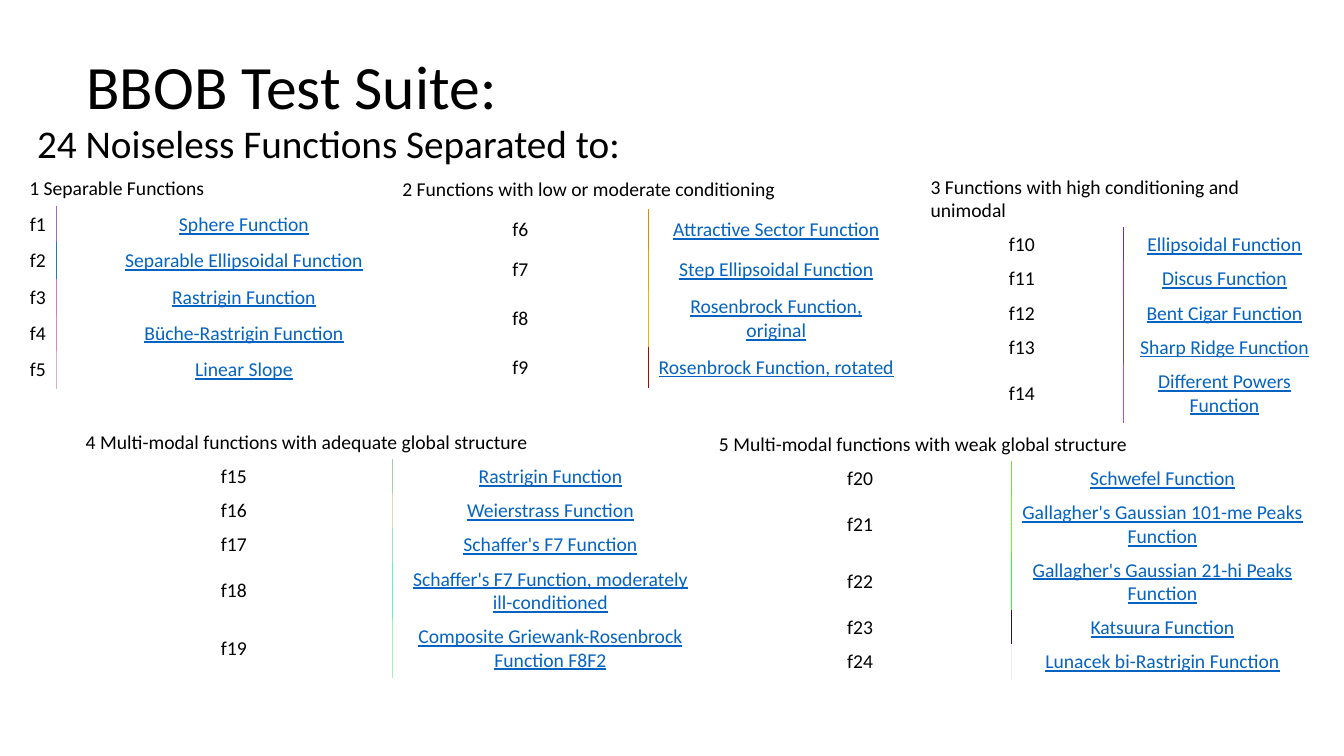
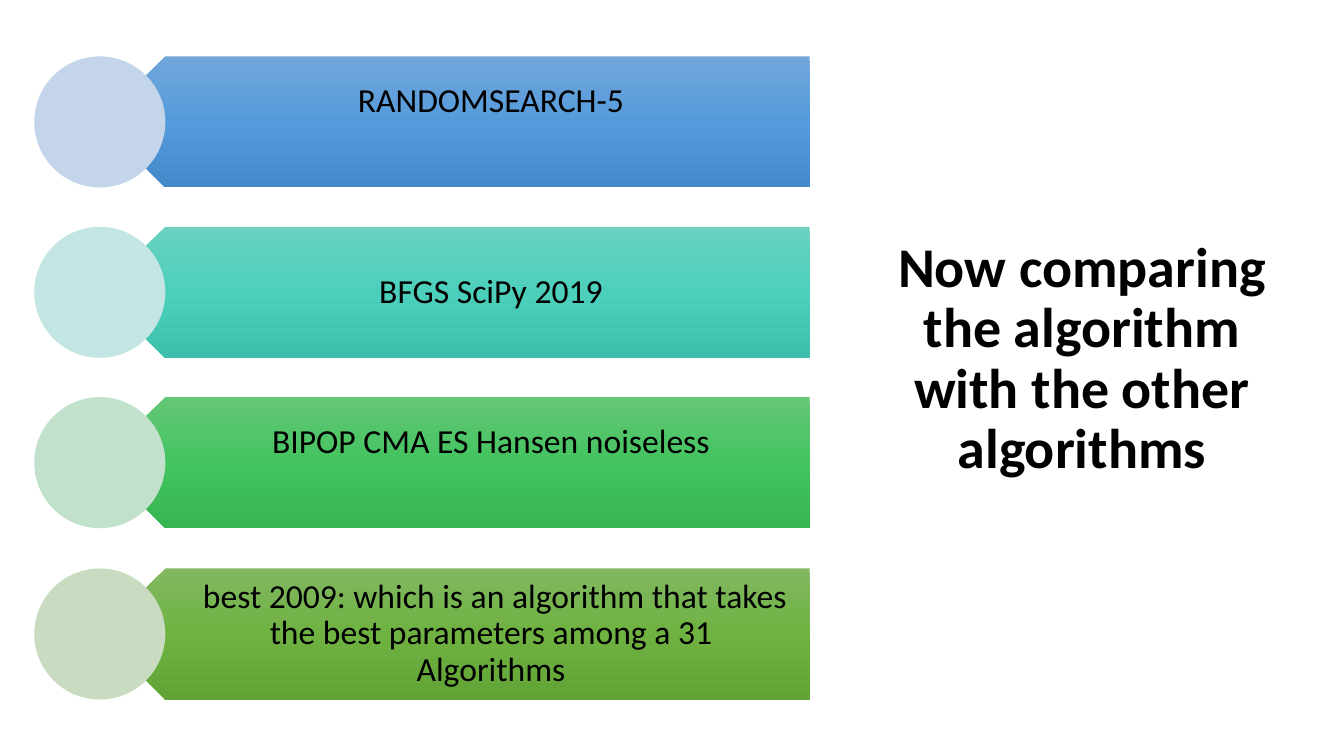
from lxml.etree import SubElement
from pptx import Presentation
from pptx.dml.color import RGBColor
from pptx.enum.shapes import MSO_SHAPE
from pptx.enum.text import MSO_ANCHOR, PP_ALIGN
from pptx.oxml import parse_xml
from pptx.oxml.ns import nsdecls, qn
from pptx.util import Pt

SCALE = 9144
FONT = "Calibri"
BLACK = "000000"
WHITE = "FFFFFF"
LINK = "0563C1"

GROUPS = [
    ((19, 169), (37, 372), [36] * 6, "1 Separable Functions", [
        ("Sphere Function", "A066C1"),
        ("Separable Ellipsoidal Function", "207AC1"),
        ("Rastrigin Function", "E072C1"),
        ("Büche-Rastrigin Function", "E085C1"),
        ("Linear Slope", "E0ADC1"),
    ]),
    ((389, 169), (254, 254), [39, 40, 40, 40, 40],
     "2 Functions with low or moderate conditioning", [
        ("Attractive Sector Function", "E08901"),
        ("Step Ellipsoidal Function", "E0A501"),
        ("Rosenbrock Function, original", "E0B801"),
        ("Rosenbrock Function, rotated", "A00C02"),
    ]),
    ((913, 169), (201, 201), [57, 34, 34, 34, 34, 57],
     "3 Functions with high conditioning and unimodal", [
        ("Ellipsoidal Function", "602CD9"),
        ("Discus Function", "A029D9"),
        ("Bent Cigar Function", "603DD9"),
        ("Sharp Ridge Function", "6042D9"),
        ("Different Powers Function", "A056D9"),
    ]),
    ((75, 422), (314, 314), [34, 34, 34, 34, 57, 57],
     "4 Multi-modal functions with adequate global structure", [
        ("Rastrigin Function", "A0CEB4"),
        ("Weierstrass Function", "E0DAB4"),
        ("Schaffer's F7 Function", "A0E3B4"),
        ("Schaffer's F7 Function, moderately ill-conditioned", "60F7B4"),
        ("Composite Griewank-Rosenbrock Function F8F2", "A0F3B4"),
    ]),
    ((703, 424), (300, 300), [34, 34, 57, 57, 34, 34],
     "5 Multi-modal functions with weak global structure", [
        ("Schwefel Function", "70E236"),
        ("Gallagher's Gaussian 101-me Peaks Function", "70F836"),
        ("Gallagher's Gaussian 21-hi Peaks Function", "30FF36"),
        ("Katsuura Function", "301037"),
        ("Lunacek bi-Rastrigin Function", "EEEBEE"),
    ]),
]

RIVALS = [
    ("RANDOMSEARCH-5", 40, "C4D5EB", ("71A6DB", "559BDB", "448ACA")),
    ("BFGS SciPy 2019", 0, "C3E6E5", ("6AD1C0", "4CD0BC", "3CC0AC")),
    ("BIPOP CMA ES Hansen noiseless", 40, "C1E1CC", ("64C677", "44C460", "36B552")),
    (" best 2009: which is an algorithm that takes the best parameters among a 31 Algorithms",
     0, "C9DBC1", ("81B861", "6FB242", "62A336")),
]


def px(count):
    return count * SCALE


def paint(text):
    return RGBColor.from_string(text)


def write(frame, text, size, color=BLACK, bold=False, line=False, align=PP_ALIGN.LEFT):
    para = frame.paragraphs[0]
    para.alignment = align
    run = para.add_run()
    run.text = text
    font = run.font
    font.name = FONT
    font.size = Pt(size)
    font.bold = bold
    font.underline = line
    font.color.rgb = paint(color)
    return para


def label(slide, box, text, size, pads=(10, 5, 10, 5), anchor=MSO_ANCHOR.MIDDLE, **style):
    frame = slide.shapes.add_textbox(*map(px, box)).text_frame
    frame.word_wrap = True
    frame.vertical_anchor = anchor
    (frame.margin_left, frame.margin_top,
     frame.margin_right, frame.margin_bottom) = map(px, pads)
    write(frame, text, size, **style).line_spacing = 0.9


def edge(cell, side, color):
    line = parse_xml(
        f'<a:{side} {nsdecls("a")} w="6350"><a:solidFill>'
        f'<a:srgbClr val="{color}"/></a:solidFill></a:{side}>')
    cell._tc.get_or_add_tcPr().insert(0, line)


def fill_cell(cell, text, **style):
    cell.fill.solid()
    cell.fill.fore_color.rgb = paint(WHITE)
    cell.vertical_anchor = MSO_ANCHOR.MIDDLE
    write(cell.text_frame, text, 14, **style)


def group(slide, spot, widths, heights, head, items, first):
    box = (*spot, sum(widths), sum(heights))
    table = slide.shapes.add_table(len(heights), 2, *map(px, box)).table
    table.first_row = table.horz_banding = False
    for col, width in zip(table.columns, widths):
        col.width = px(width)
    for row, height in zip(table.rows, heights):
        row.height = px(height)
    table.cell(0, 0).merge(table.cell(0, 1))
    fill_cell(table.cell(0, 0), head)
    for row, (name, color) in enumerate(items, 1):
        left, right = table.cell(row, 0), table.cell(row, 1)
        fill_cell(left, f"f{first + row - 1}", align=PP_ALIGN.CENTER)
        fill_cell(right, name, color=LINK, line=True, align=PP_ALIGN.CENTER)
        edge(left, "lnR", color)
        edge(right, "lnL", color)


def shade(shape, colors):
    shape.fill.gradient()
    grad = shape._element.spPr.find(qn("a:gradFill"))
    for child in list(grad):
        grad.remove(child)
    stops = SubElement(grad, qn("a:gsLst"))
    for place, color in zip((0, 50000, 100000), colors):
        stop = SubElement(stops, qn("a:gs"), pos=str(place))
        SubElement(stop, qn("a:srgbClr"), val=color)
    SubElement(grad, qn("a:lin"), ang="5400000", scaled="0")


def plain(slide, kind, box):
    shape = slide.shapes.add_shape(kind, *map(px, box))
    shape.shadow.inherit = False
    shape.line.fill.background()
    return shape


def rival(slide, box, text, lift, tint, colors):
    left, top, width, height = box
    half = height // 2
    arrow = plain(slide, MSO_SHAPE.PENTAGON, (left + half, top, width - half, height))
    arrow._element.spPr.find(qn("a:xfrm")).set("flipH", "1")
    shade(arrow, colors)
    inset = half + 33
    label(slide, (left + inset, top, width - inset, height), text, 24,
          pads=(58, 10, 19, 10 + lift), align=PP_ALIGN.CENTER)
    dot = plain(slide, MSO_SHAPE.OVAL, (left, top, height, height))
    dot.fill.solid()
    dot.fill.fore_color.rgb = paint(tint)


def suite(slide):
    label(slide, (76, 16, 1150, 145), "BBOB Test Suite:", 44)
    label(slide, (27, 119, 1215, 50), "24 Noiseless Functions Separated to:", 28,
          anchor=MSO_ANCHOR.TOP)
    first = 1
    for spot, widths, heights, head, items in GROUPS:
        group(slide, spot, widths, heights, head, items, first)
        first += len(items)


def compare(slide):
    label(slide, (864, 210, 418, 294),
          "Now comparing the algorithm with the other algorithms", 40,
          bold=True, align=PP_ALIGN.CENTER)
    for rank, data in enumerate(RIVALS):
        rival(slide, (34, 56 + rank * 508 // 3, 769, 130), *data)


def main():
    deck = Presentation()
    deck.slide_width, deck.slide_height = px(1333), px(750)
    for build in (suite, compare):
        build(deck.slides.add_slide(deck.slide_layouts[6]))
    deck.save("out.pptx")


if __name__ == "__main__":
    main()
